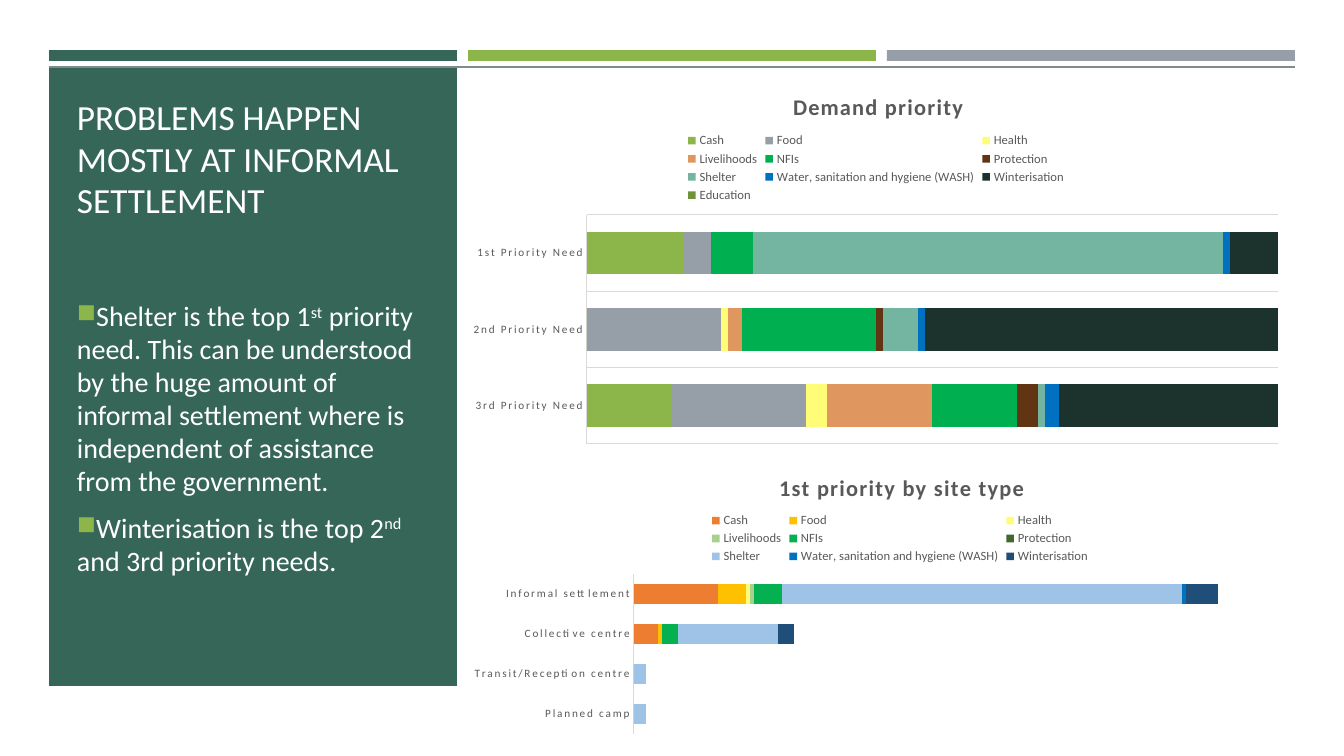
from lxml import etree
from pptx import Presentation
from pptx.chart.data import CategoryChartData
from pptx.dml.color import RGBColor
from pptx.enum.chart import XL_CHART_TYPE, XL_LEGEND_POSITION, XL_TICK_MARK
from pptx.enum.shapes import MSO_CONNECTOR, MSO_SHAPE
from pptx.enum.text import MSO_ANCHOR
from pptx.oxml.ns import qn
from pptx.util import Pt

BAR_STACKED, BAR_STACKED_100 = XL_CHART_TYPE.BAR_STACKED, XL_CHART_TYPE.BAR_STACKED_100
LEGEND_TOP, NO_TICK = XL_LEGEND_POSITION.TOP, XL_TICK_MARK.NONE
RECTANGLE, STRAIGHT = MSO_SHAPE.RECTANGLE, MSO_CONNECTOR.STRAIGHT
BOTTOM, MIDDLE = MSO_ANCHOR.BOTTOM, MSO_ANCHOR.MIDDLE
EMU_PER_PIXEL = 914400 / 100.8
FONT = "Calibri"
COLORS = {"panel": "366658", "green": "8CB64A", "gray": "969FA7", "white": "FFFFFF",
          "rule": "7F8C8A", "text": "595959", "grid": "D9D9D9"}

TITLE = "PROBLEMS HAPPEN MOSTLY AT INFORMAL SETTLEMENT"
BULLETS = [
    [("Shelter is the top 1", False), ("st", True),
     (" priority need. This can be understood by the huge amount of informal settlement "
      "where is independent of assistance from the government.", False)],
    [("Winterisation is the top 2", False), ("nd", True), (" and 3rd priority needs.", False)],
]
WASH = "Water, sanitation and hygiene (WASH)"
CHARTS = [
    {"title": "Demand priority", "type": BAR_STACKED_100, "gap": 79, "grid": True, "maximum": None,
     "frame": (458, 68, 838, 385), "title_at": (789, 88),
     "legend": (684, 130, 384, 76), "plot": (587, 215, 691, 229),
     "categories": ["3rd Priority Need", "2nd Priority Need", "1st Priority Need"],
     "series": [("Cash", "8CB64A", (12, 0, 14)), ("Food", "969FA7", (19, 19, 4)),
                ("Health", "FFFD78", (3, 1, 0)), ("Livelihoods", "E0965F", (15, 2, 0)),
                ("NFIs", "00B050", (12, 19, 6)), ("Protection", "613413", (3, 1, 0)),
                ("Shelter", "74B5A2", (1, 5, 68)), (WASH, "0070C0", (2, 1, 1)),
                ("Winterisation", "1B332C", (31, 50, 7)), ("Education", "70923B", (0, 0, 0))]},
    {"title": "1st priority by site type", "type": BAR_STACKED, "gap": 95, "grid": False, "maximum": 160,
     "frame": (457, 452, 887, 287), "title_at": (775, 469),
     "legend": (708, 510, 384, 57), "plot": (634, 574, 640, 160),
     "categories": ["Planned camp", "Transit/Reception centre", "Collective centre",
                    "Informal settlement"],
     "series": [("Cash", "ED7D31", (0, 0, 6, 21)), ("Food", "FFC000", (None, None, 1, 7)),
                ("Health", "FFFD78", (None, None, 0, 1)),
                ("Livelihoods", "A9D18E", (None, None, None, 1)),
                ("NFIs", "05B050", (None, None, 4, 7)),
                ("Protection", "42682B", (None, None, 0, None)),
                ("Shelter", "9EC3E7", (3, 3, 25, 100)), (WASH, "0070C0", (None, None, None, 1)),
                ("Winterisation", "1F4E79", (0, 0, 4, 8))]},
]
BAND_LEFT, BAND_TOP, BAND_WIDTH, BAND_HEIGHT, BAND_STEP = 49, 50, 408, 11, 419
PANEL_TOP, PANEL_HEIGHT = 67, 619
TITLE_BOX, BULLET_BOX = (67, 78, 376, 149), (67, 217, 376, 444)


def emu(*pixels):
    return [round(pixel * EMU_PER_PIXEL) for pixel in pixels]


def rgb(name):
    return RGBColor.from_string(COLORS.get(name, name))


def style_font(font, size, color, bold=False, spacing=None):
    font.name, font.size, font.bold = FONT, Pt(size), bold
    font.color.rgb = rgb(color)
    if spacing:
        font._element.set("spc", str(spacing))


def add_rectangle(box, color):
    shape = slide.shapes.add_shape(RECTANGLE, *emu(*box))
    shape.shadow.inherit = False
    shape.fill.solid()
    shape.fill.fore_color.rgb = rgb(color)
    shape.line.fill.background()


def add_text(box, paragraphs, size, anchor):
    frame = slide.shapes.add_textbox(*emu(*box)).text_frame
    frame.word_wrap, frame.vertical_anchor = True, anchor
    for index, runs in enumerate(paragraphs):
        paragraph = frame.add_paragraph() if index else frame.paragraphs[0]
        paragraph.line_spacing = 0.98
        style_font(paragraph.font, size, "white")
        for text, raised in runs:
            run = paragraph.add_run()
            run.text = text
            if raised:
                run.font._element.set("baseline", "30000")
    return frame.paragraphs


def add_bullet(paragraph):
    paragraph.space_before, paragraph.space_after = Pt(4), Pt(6)
    properties = paragraph._p.get_or_add_pPr()
    properties.set("marL", "0")
    properties.set("indent", "0")
    color = etree.Element(qn("a:buClr"))
    etree.SubElement(color, qn("a:srgbClr"), val=COLORS["green"])
    size = etree.Element(qn("a:buSzPct"), val="92000")
    character = etree.Element(qn("a:buChar"), char="■")
    position = list(properties).index(properties.find(qn("a:defRPr")))
    properties[position:position] = [color, size, character]


def place(element, position, box, frame, inner=False):
    for old in element.findall(qn("c:layout")):
        element.remove(old)
    layout = etree.Element(qn("c:layout"))
    manual = etree.SubElement(layout, qn("c:manualLayout"))
    left, top, width, height = frame
    values = [("layoutTarget", "inner")] if inner else []
    values += [("xMode", "edge"), ("yMode", "edge")]
    offsets = (box[0] - left, box[1] - top, *box[2:])
    for key, offset, extent in zip("xywh", offsets, (width, height, width, height)):
        values.append((key, f"{offset / extent:.4f}"))
    for key, value in values:
        etree.SubElement(manual, qn(f"c:{key}"), val=value)
    element.insert(position, layout)


def add_chart(spec):
    data = CategoryChartData()
    data.categories = spec["categories"]
    for name, _, values in spec["series"]:
        data.add_series(name, values)
    frame = spec["frame"]
    chart = slide.shapes.add_chart(spec["type"], *emu(*frame), data).chart
    style_font(chart.font, 10, "000000")

    chart.has_title = True
    paragraph = chart.chart_title.text_frame.paragraphs[0]
    paragraph.text = spec["title"]
    style_font(paragraph.font, 16, "text", True, 100)
    place(chart.chart_title._element, 1, spec["title_at"], frame)

    chart.has_legend = True
    chart.legend.position = LEGEND_TOP
    chart.legend.include_in_layout = False
    style_font(chart.legend.font, 9, "text")
    place(chart.legend._element, 1, spec["legend"], frame)

    plot = chart.plots[0]
    plot.gap_width, plot.overlap, plot.vary_by_categories = spec["gap"], 100, False
    for series, (_, color, _) in zip(plot.series, spec["series"]):
        series.format.fill.solid()
        series.format.fill.fore_color.rgb = rgb(color)
    place(plot._element.getparent(), 0, spec["plot"], frame, True)

    axis = chart.category_axis
    axis.major_tick_mark = axis.minor_tick_mark = NO_TICK
    style_font(axis.tick_labels.font, 8, "text", spacing=120)
    axis.has_major_gridlines = spec["grid"]
    lines = [axis.format.line] + ([axis.major_gridlines.format.line] if spec["grid"] else [])
    for line in lines:
        line.color.rgb, line.width = rgb("grid"), Pt(0.75)
    chart.value_axis.visible = False
    chart.value_axis.has_major_gridlines = False
    if spec["maximum"]:
        chart.value_axis.minimum_scale, chart.value_axis.maximum_scale = 0, spec["maximum"]


def build():
    """Draw the header bands, the text panel and the two priority charts."""
    for index, color in enumerate(("panel", "green", "gray")):
        add_rectangle((BAND_LEFT + index * BAND_STEP, BAND_TOP, BAND_WIDTH, BAND_HEIGHT), color)
    add_rectangle((BAND_LEFT, PANEL_TOP, BAND_WIDTH, PANEL_HEIGHT), "panel")
    right = BAND_LEFT + 2 * BAND_STEP + BAND_WIDTH
    rule = slide.shapes.add_connector(STRAIGHT, *emu(BAND_LEFT, PANEL_TOP, right, PANEL_TOP))
    rule.line.color.rgb, rule.line.width = rgb("rule"), Pt(0.75)
    etree.SubElement(rule._element.spPr, qn("a:effectLst"))
    add_text(TITLE_BOX, [[(TITLE, False)]], 25.2, BOTTOM)
    for paragraph in add_text(BULLET_BOX, BULLETS, 20, MIDDLE):
        add_bullet(paragraph)
    for spec in CHARTS:
        add_chart(spec)


presentation = Presentation()
presentation.slide_width, presentation.slide_height = emu(1344, 756)
slide = presentation.slides.add_slide(presentation.slide_layouts[6])
build()
presentation.save("out.pptx")
